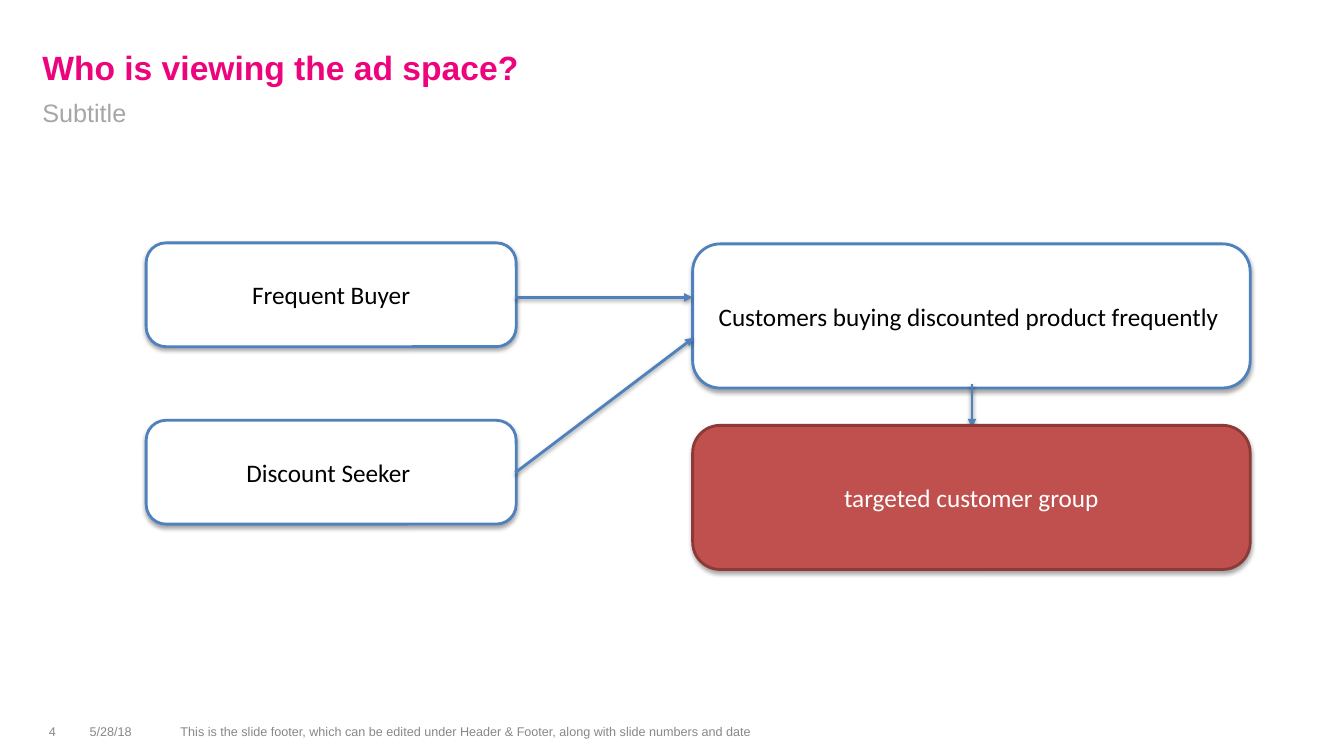
from lxml.etree import SubElement as Sub
from pptx import Presentation
from pptx.dml.color import RGBColor
from pptx.enum.shapes import MSO_CONNECTOR as LINK, MSO_SHAPE as SHAPE
from pptx.enum.text import MSO_ANCHOR as ANCHOR, PP_ALIGN as ALIGN
from pptx.oxml.ns import qn
from pptx.util import Inches, Pt

PINK = RGBColor(0xED, 0x03, 0x7C)
SILVER = RGBColor(0xA6, 0xA6, 0xA6)
GRAY = RGBColor(0x88, 0x88, 0x88)
BLUE = RGBColor(0x4F, 0x81, 0xBD)
RED = RGBColor(0xC0, 0x50, 0x4D)
MAROON = RGBColor(0x8C, 0x3A, 0x38)
BLACK = RGBColor(0, 0, 0)
WHITE = RGBColor(255, 255, 255)


def write(shape, text, size, color, font="Arial", align=ALIGN.LEFT,
          anchor=ANCHOR.MIDDLE, bold=False, wrap=True):
    frame = shape.text_frame
    frame.text = text
    frame.word_wrap = wrap
    frame.vertical_anchor = anchor
    frame.margin_left = frame.margin_right = Inches(0.05)
    frame.margin_top = frame.margin_bottom = Inches(0.05)
    para = frame.paragraphs[0]
    para.alignment = align
    face = para.runs[0].font
    face.name, face.size, face.bold = font, Pt(size), bold
    face.color.rgb = color


def outline(shape, color, alpha, drop):
    shape.line.color.rgb = color
    shape.line.width = Pt(2)
    effects = Sub(shape._element.spPr, qn("a:effectLst"))
    shade = Sub(effects, qn("a:outerShdw"), blurRad=str(Pt(3)),
                dist=str(Pt(drop)), dir="5400000", rotWithShape="0")
    tint = Sub(shade, qn("a:srgbClr"), val=str(BLACK))
    Sub(tint, qn("a:alpha"), val=str(alpha * 1000))


deck = Presentation()
deck.slide_width, deck.slide_height = Inches(13.33), Inches(7.5)
slide = deck.slides.add_slide(deck.slide_layouts[5])
shapes = slide.shapes

title = shapes.title
title.left, title.top = Inches(0.37), Inches(0.3)
title.width, title.height = Inches(10.5), Inches(0.62)
write(title, "Who is viewing the ad space?", 24, PINK,
      anchor=ANCHOR.BOTTOM, bold=True)

sub = shapes.add_textbox(Inches(0.37), Inches(0.92), Inches(10.5), Inches(0.58))
write(sub, "Subtitle", 18, SILVER, anchor=ANCHOR.TOP)
sub.text_frame.paragraphs[0].space_before = Pt(6)

notes = [
    (0.43, 0.18, "4", ALIGN.CENTER, False),
    (0.84, 0.9, "5/28/18", ALIGN.LEFT, True),
    (1.74, 8.89, "This is the slide footer, which can be edited under "
     "Header & Footer, along with slide numbers and date", ALIGN.LEFT, True),
]
for left, width, text, align, wrap in notes:
    foot = shapes.add_textbox(Inches(left), Inches(7.14), Inches(width), Inches(0.23))
    write(foot, text, 9, GRAY, align=align, wrap=wrap)

small, large = (3.67, 1.03), (5.53, 1.43)
target = (6.87, 4.22, large, "targeted customer group", RED, MAROON, WHITE)
boxes = [
    (1.45, 2.41, small, "Frequent Buyer", WHITE, BLUE, BLACK),
    (1.45, 4.17, small, "Discount Seeker ", WHITE, BLUE, BLACK),
    (6.87, 2.42, large, "Customers buying discounted product frequently ",
     WHITE, BLUE, BLACK),
]
arrows = [
    (5.11, 2.95, 6.87, 2.95),
    (5.11, 4.69, 6.88, 3.35),
    (9.64, 3.81, 9.64, 4.24),
]


for left, top, (width, height), text, fill, edge, ink in boxes + [target]:
    if text == target[3]:
        for ends in arrows:
            arrow = shapes.add_connector(LINK.STRAIGHT, *map(Inches, ends))
            outline(arrow, BLUE, 38, 1.6)
            Sub(arrow.line._get_or_add_ln(), qn("a:tailEnd"), type="triangle")
    box = shapes.add_shape(SHAPE.ROUNDED_RECTANGLE, Inches(left), Inches(top),
                           Inches(width), Inches(height))
    box.adjustments[0] = 0.19
    box.fill.solid()
    box.fill.fore_color.rgb = fill
    outline(box, edge, 35, 1.8)
    write(box, text, 18, ink, "Calibri", ALIGN.CENTER)

deck.save("out.pptx")
